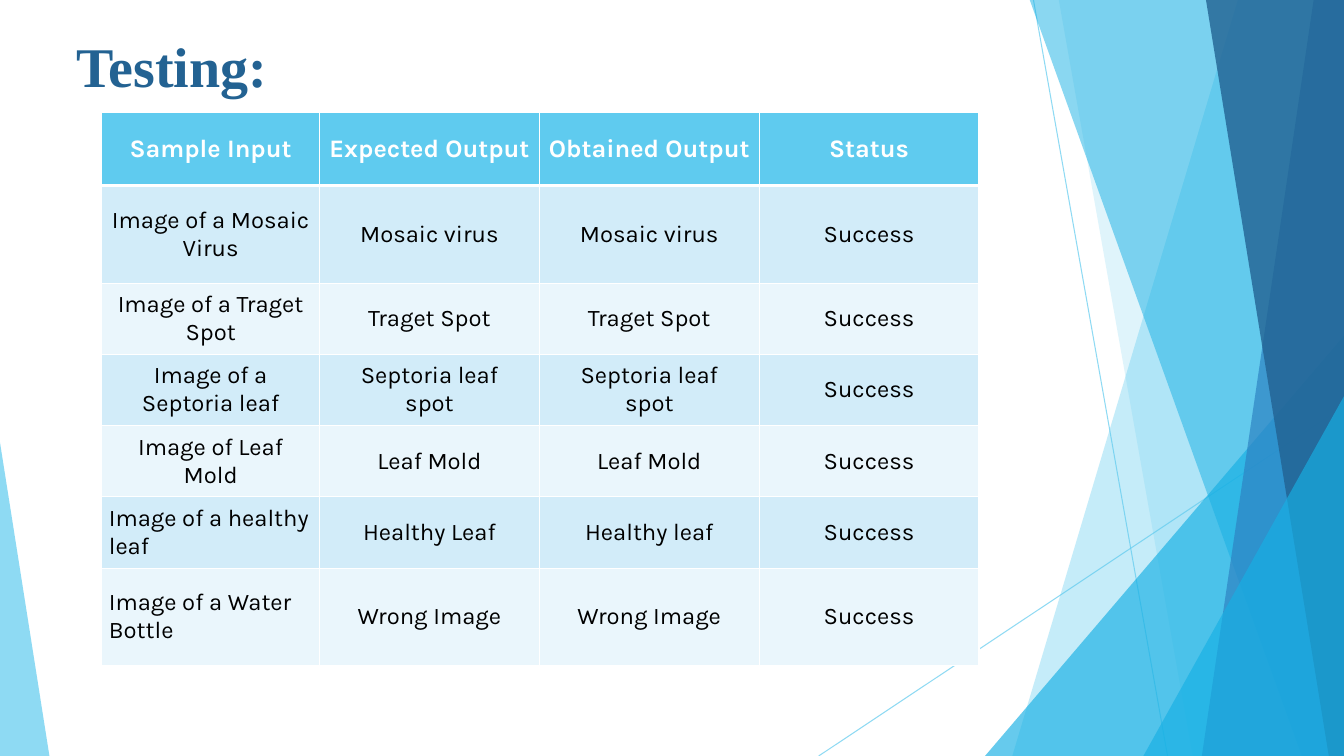
from dataclasses import dataclass

from lxml.etree import SubElement
from pptx import Presentation
from pptx.dml.color import RGBColor
from pptx.enum.shapes import MSO_CONNECTOR as Connector, MSO_SHAPE as Shape
from pptx.enum.text import MSO_ANCHOR as Anchor, PP_ALIGN as Align
from pptx.oxml.ns import qn
from pptx.util import Inches, Pt

WIDTH, HEIGHT = 13.33, 7.5
BAND_TOP = -0.01


@dataclass(frozen=True)
class Theme:
    sky: str = "5FCBEF"
    cyan: str = "17B0E4"
    blue: str = "2E83C3"
    navy: str = "226292"
    title: str = "236292"
    white: str = "FFFFFF"
    black: str = "000000"
    odd_row: str = "D2ECF9"
    even_row: str = "EAF6FC"
    title_font: str = "Times New Roman"
    body_font: str = "Karla"
    title_size: int = 40
    header_size: int = 18
    body_size: int = 17


class SlideBuilder:
    def __init__(self, slide, theme):
        self.shapes = slide.shapes
        self.theme = theme

    def set_opacity(self, fill, percent):
        color = fill._xPr.find(f"{qn('a:solidFill')}/{qn('a:srgbClr')}")
        SubElement(color, qn("a:alpha"), val=str(percent * 1000))

    def paint(self, shape, color, opacity):
        shape.shadow.inherit = False
        shape.line.fill.background()
        shape.fill.solid()
        shape.fill.fore_color.rgb = RGBColor.from_string(color)
        self.set_opacity(shape.fill, opacity)

    def line(self, start, end):
        line = self.shapes.add_connector(
            Connector.STRAIGHT, *(Inches(value) for value in (*start, *end)))
        line.line.width = Pt(0.75)
        line.line.color.rgb = RGBColor.from_string(self.theme.sky)
        self.set_opacity(line.line.fill, 70)
        SubElement(line._element.spPr, qn("a:effectLst"))

    def band(self, top_x, bottom_x, color, opacity):
        """Fill from a slanted left edge to the right edge of the slide."""
        builder = self.shapes.build_freeform(
            Inches(top_x), Inches(BAND_TOP), scale=1.0)
        corners = [(WIDTH, BAND_TOP), (WIDTH, HEIGHT), (bottom_x, HEIGHT)]
        builder.add_line_segments(
            [(Inches(x), Inches(y)) for x, y in corners], close=True)
        self.paint(builder.convert_to_shape(), color, opacity)

    def triangle(self, left, top, width, tip, color, opacity):
        """Stand a triangle on the slide's bottom edge; tip runs from 0 to 1."""
        shape = self.shapes.add_shape(
            Shape.ISOSCELES_TRIANGLE, Inches(left), Inches(top),
            Inches(width), Inches(HEIGHT - top))
        shape.adjustments[0] = tip
        self.paint(shape, color, opacity)

    def style_text(self, frame, font, size, color, bold, align):
        frame.word_wrap = True
        for para in frame.paragraphs:
            para.alignment = align
            para.font.name = font
            para.font.size = Pt(size)
            para.font.bold = bold
            para.font.color.rgb = RGBColor.from_string(color)

    def title(self, text, left, top, width, height):
        box = self.shapes.add_textbox(
            Inches(left), Inches(top), Inches(width), Inches(height))
        box.text_frame.text = text
        box.text_frame.vertical_anchor = Anchor.TOP
        self.style_text(box.text_frame, self.theme.title_font,
                        self.theme.title_size, self.theme.title, True, Align.LEFT)

    def border(self, cell, bottom_width):
        properties = cell._tc.get_or_add_tcPr()
        for side, width in zip("LRTB", (1, 1, 1, bottom_width)):
            edge = SubElement(properties, qn(f"a:ln{side}"), w=str(Pt(width)))
            fill = SubElement(edge, qn("a:solidFill"))
            SubElement(fill, qn("a:srgbClr"), val=self.theme.white)

    def cell(self, cell, text, is_header, fill, align):
        theme = self.theme
        cell.text = text
        cell.vertical_anchor = Anchor.MIDDLE
        cell.margin_left = cell.margin_right = Inches(0.07)
        cell.margin_top = cell.margin_bottom = Inches(0.07)
        self.border(cell, 3 if is_header else 1)
        cell.fill.solid()
        cell.fill.fore_color.rgb = RGBColor.from_string(fill)
        size = theme.header_size if is_header else theme.body_size
        color = theme.white if is_header else theme.black
        self.style_text(cell.text_frame, theme.body_font, size, color,
                        is_header, align)

    def table(self, rows, left, top, widths, heights, left_aligned_rows):
        """Draw a banded table; the listed rows start with a left-aligned cell."""
        theme = self.theme
        table = self.shapes.add_table(
            len(rows), len(widths), Inches(left), Inches(top),
            Inches(sum(widths)), Inches(sum(heights))).table
        for column, width in zip(table.columns, widths):
            column.width = Inches(width)
        for row, height in zip(table.rows, heights):
            row.height = Inches(height)
        for r, texts in enumerate(rows):
            band = theme.odd_row if r % 2 else theme.even_row
            for c, text in enumerate(texts):
                to_left = c == 0 and r in left_aligned_rows
                self.cell(table.cell(r, c), text, r == 0,
                          band if r else theme.sky,
                          Align.LEFT if to_left else Align.CENTER)


TEST_RESULTS = [
    ("Sample Input", "Expected Output", "Obtained Output", "Status"),
    ("Image of a Mosaic Virus", "Mosaic virus", "Mosaic virus", "Success"),
    ("Image of a Traget\nSpot", "Traget Spot", "Traget Spot", "Success"),
    ("Image of a Septoria leaf", "Septoria leaf\nspot", "Septoria leaf\nspot",
     "Success"),
    ("Image of Leaf Mold", "Leaf Mold", "Leaf Mold", "Success"),
    ("Image of a healthy leaf", "Healthy Leaf", "Healthy leaf", "Success"),
    ("Image of a Water Bottle", "Wrong Image", "Wrong Image", "Success"),
]


def main():
    deck = Presentation()
    deck.slide_width, deck.slide_height = Inches(WIDTH), Inches(HEIGHT)
    theme = Theme()
    page = SlideBuilder(deck.slides.add_slide(deck.slide_layouts[6]), theme)

    page.line((10.25, 0), (11.58, HEIGHT))
    page.line((WIDTH, 4.03), (8.12, HEIGHT))
    page.band(12.28, 10.04, theme.sky, 36)
    page.band(10.5, 11.83, theme.sky, 20)
    page.triangle(9.77, 3.33, 3.56, 1, theme.cyan, 66)
    page.band(10.21, 12.91, theme.cyan, 50)
    page.band(13.03, 11.92, theme.blue, 70)
    page.band(11.96, 13.18, theme.navy, 80)
    page.triangle(11.34, 3.93, 1.99, 1, theme.cyan, 66)
    page.triangle(0, 4.39, 0.49, 0, theme.sky, 70)

    page.title("Testing:", 0.66, 0.26, 9.4, 0.92)
    page.table(TEST_RESULTS, 1.01, 1.12, [2.16] + [2.18] * 3,
               [0.72, 0.97] + [0.69] * 4 + [0.97], left_aligned_rows=(5, 6))
    deck.save("out.pptx")


if __name__ == "__main__":
    main()
